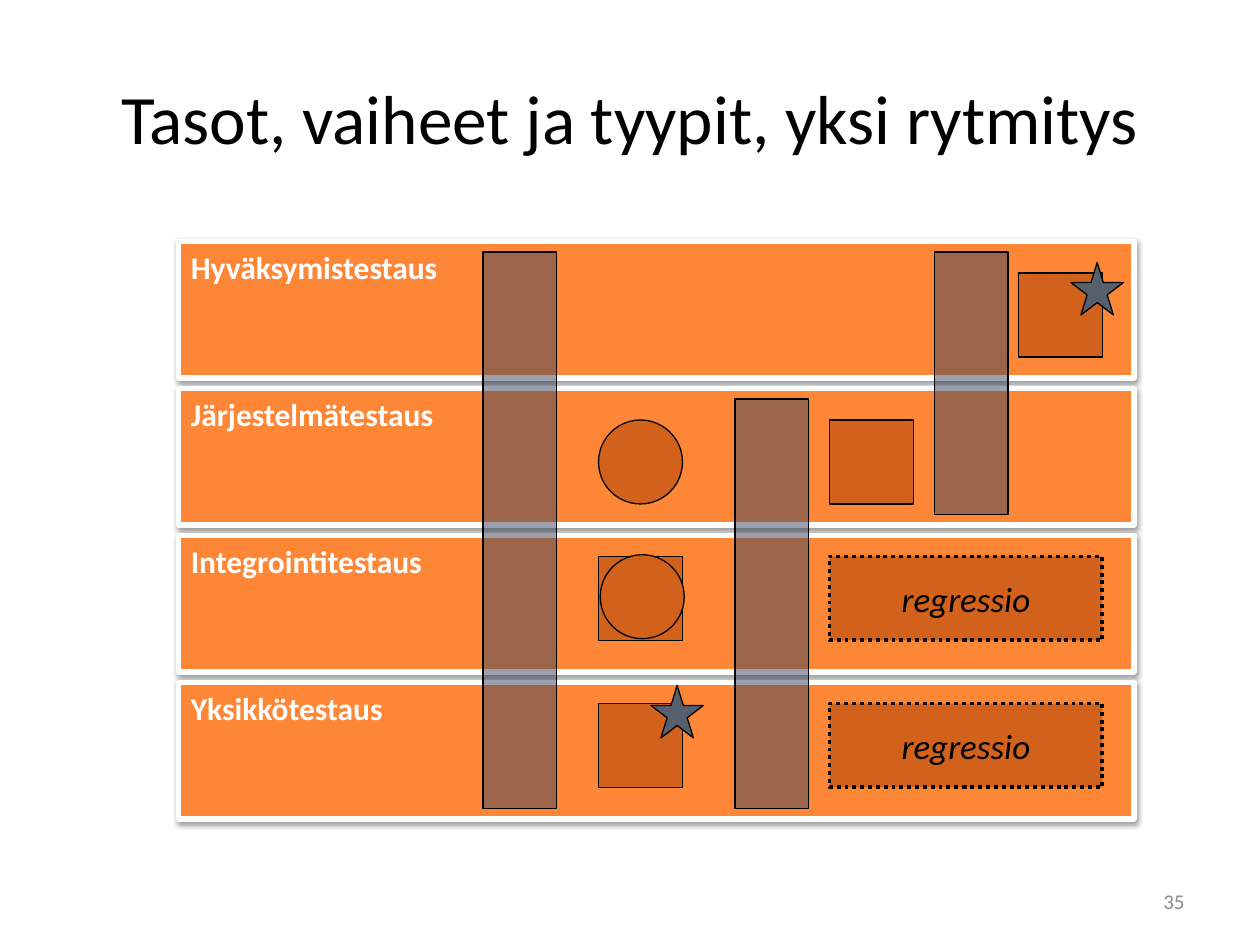
from dataclasses import dataclass

from lxml.etree import SubElement
from pptx import Presentation
from pptx.dml.color import RGBColor
from pptx.enum.dml import MSO_LINE
from pptx.enum.shapes import MSO_SHAPE
from pptx.enum.text import MSO_ANCHOR, PP_ALIGN
from pptx.oxml.ns import qn
from pptx.util import Pt


@dataclass(frozen=True)
class Theme:
    font: str = "Calibri"
    black: str = "000000"
    white: str = "FFFFFF"
    gray: str = "8C8C8C"
    level: str = "FE8637"
    phase: str = "3B435B"
    mark: str = "D2611C"
    star: str = "575F6D"
    title: float = 39.6
    label: float = 18
    note: float = 20
    small: float = 12


THEME = Theme()
PITCH = 84      # from one level to the next
HEIGHT = 78     # height of a level
MARK = 48       # side of a mark
STAR = 30
RECT, OVAL = MSO_SHAPE.RECTANGLE, MSO_SHAPE.OVAL


def write(shape, text, size, color, align=PP_ALIGN.LEFT,
          anchor=MSO_ANCHOR.MIDDLE, wrap=True, bold=False, italic=False):
    frame = shape.text_frame
    frame.word_wrap = wrap
    frame.vertical_anchor = anchor
    para = frame.paragraphs[0]
    para.text = text
    para.alignment = align
    font = para.font
    font.name, font.size = THEME.font, Pt(size)
    font.bold, font.italic = bold, italic
    font.color.rgb = RGBColor.from_string(color)


def add_text(slide, box, *args, **style):
    write(slide.shapes.add_textbox(*map(Pt, box)), *args, **style)


def add_form(slide, kind, box, fill, line=THEME.black, width=0.75):
    shape = slide.shapes.add_shape(kind, *map(Pt, box))
    shape.shadow.inherit = False
    shape.fill.solid()
    shape.fill.fore_color.rgb = RGBColor.from_string(fill)
    shape.line.color.rgb = RGBColor.from_string(line)
    shape.line.width = Pt(width)
    return shape


def set_alpha(color, percent):
    SubElement(color, qn("a:alpha"), val=str(percent * 1000))


def add_shadow(shape):
    effects = shape._element.spPr.find(qn("a:effectLst"))
    shadow = SubElement(effects, qn("a:outerShdw"), blurRad=str(Pt(3.15)),
                        dist=str(Pt(1.57)), dir="5400000", rotWithShape="0")
    set_alpha(SubElement(shadow, qn("a:srgbClr"), val=THEME.black), 38)


def add_levels(slide, box):
    left, top, width = box
    names = ["Hyväksymistestaus", "Järjestelmätestaus",
             "Integrointitestaus", "Yksikkötestaus"]
    for row, name in enumerate(names):
        level = add_form(slide, RECT, (left, top + row * PITCH, width, HEIGHT),
                         THEME.level, THEME.white, 3)
        add_shadow(level)
        write(level, name, THEME.label, THEME.white,
              anchor=MSO_ANCHOR.TOP, wrap=False, bold=True)


def add_phases(slide, box):
    left, top, _ = box
    # Offset, first level, last level
    for x, first, last in [(432, 0, 1), (174, 0, 3), (318, 1, 3)]:
        height = (last - first) * PITCH + HEIGHT - 12
        bar = add_form(slide, RECT,
                       (left + x, top + first * PITCH + 6, 42, height),
                       THEME.phase)
        set_alpha(bar.fill._xPr.find(".//" + qn("a:srgbClr")), 50)


def add_marks(slide, box):
    left, top, _ = box

    def place(kind, x, row, y, size, fill):
        add_form(slide, kind, (left + x, top + row * PITCH + y, size, size),
                 fill)

    # Test types: shape, offset, level, drop
    for kind, x, row, y in [(OVAL, 240, 1, 18), (RECT, 372, 1, 18),
                            (RECT, 240, 2, 12), (RECT, 240, 3, 12),
                            (RECT, 480, 0, 18), (OVAL, 241, 2, 11)]:
        place(kind, x, row, y, MARK, THEME.mark)

    # Regression boxes
    for row in (2, 3):
        note = add_form(slide, RECT,
                        (left + 372, top + row * PITCH + 12, 156, MARK),
                        THEME.mark, width=2.25)
        note.line.dash_style = MSO_LINE.ROUND_DOT
        write(note, "regressio", THEME.note, THEME.black, PP_ALIGN.CENTER,
              wrap=False, italic=True)

    # Stars
    for x, row, y in [(270, 3, 1.7), (510, 0, 12)]:
        place(MSO_SHAPE.STAR_5_POINT, x, row, y, STAR, THEME.star)


def add_chart(slide, box):
    add_levels(slide, box)
    add_phases(slide, box)
    add_marks(slide, box)


def main():
    deck = Presentation()
    deck.slide_width, deck.slide_height = Pt(720), Pt(540)
    slide = deck.slides.add_slide(deck.slide_layouts[6])
    add_text(slide, (36, 21.6, 648, 90),
             "Tasot, vaiheet ja tyypit, yksi rytmitys",
             THEME.title, THEME.black, PP_ALIGN.CENTER)
    add_chart(slide, (102, 138, 546))
    add_text(slide, (516, 500.5, 168, 28.75), "35",
             THEME.small, THEME.gray, PP_ALIGN.RIGHT)
    deck.save("out.pptx")


if __name__ == "__main__":
    main()
